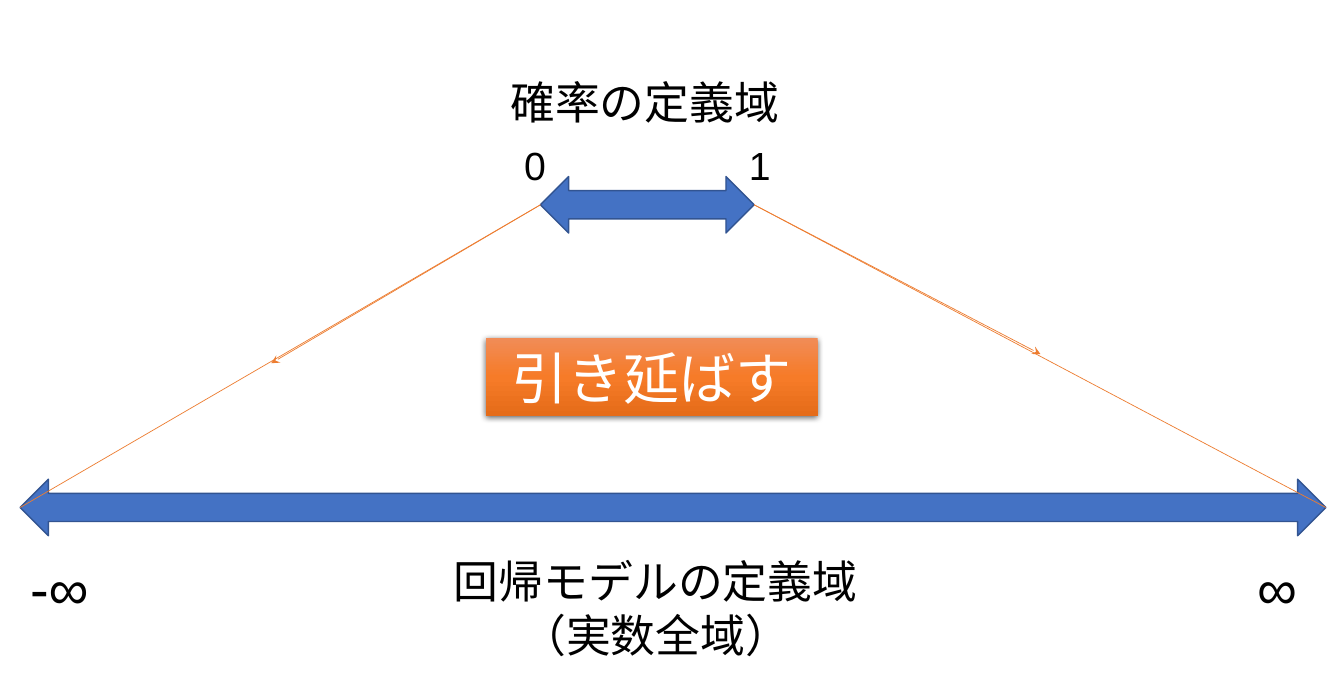
from lxml.etree import SubElement
from pptx import Presentation
from pptx.dml.color import RGBColor
from pptx.enum.shapes import MSO_CONNECTOR as CONN, MSO_SHAPE as SHAPE
from pptx.enum.text import MSO_ANCHOR as ANCHOR, PP_ALIGN as ALIGN
from pptx.oxml.ns import qn
from pptx.util import Inches, Pt

BLUE = RGBColor(0x44, 0x72, 0xC4)
NAVY = RGBColor(0x32, 0x54, 0x91)
ORANGE = RGBColor(0xED, 0x7D, 0x31)
BLACK = RGBColor(0, 0, 0)
WHITE = RGBColor(0xFF, 0xFF, 0xFF)
BUTTON_STOPS = [(0, "F18C57"), (50, "F67B28"), (100, "E56C19")]


class Diagram:
    font = "Arial"

    def __init__(self, slide):
        self.shapes = slide.shapes

    def set_text(self, sp, lines, size, color, align):
        tf = sp.text_frame
        tf.word_wrap = True
        tf.text = "\n".join(lines)
        for p in tf.paragraphs:
            p.alignment = align
            p.font.name = self.font
            p.font.size = Pt(size)
            p.font.color.rgb = color

    def label(self, box, *lines, size, align=ALIGN.LEFT):
        sp = self.shapes.add_textbox(*map(Inches, box))
        self.set_text(sp, lines, size, BLACK, align)

    def range_arrow(self, left, right, middle, height=0.56):
        sp = self.shapes.add_shape(
            SHAPE.LEFT_RIGHT_ARROW, Inches(left), Inches(middle - height / 2),
            Inches(right - left), Inches(height))
        sp.shadow.inherit = False
        sp.fill.solid()
        sp.fill.fore_color.rgb = BLUE
        sp.line.color.rgb = NAVY
        sp.line.width = Pt(1)

    def line(self, start, end, arrow=False):
        s = self.shapes.add_connector(
            CONN.STRAIGHT, *map(Inches, (*start, *end)))
        s.line.color.rgb = ORANGE
        s.line.width = Pt(0.5)
        spPr = s._element.spPr
        if arrow:
            SubElement(spPr.find(qn("a:ln")), qn("a:tailEnd"), type="stealth")
        SubElement(spPr, qn("a:effectLst"))

    def button(self, box, text, size):
        sp = self.shapes.add_shape(SHAPE.RECTANGLE, *map(Inches, box))
        sp.line.fill.background()
        sp.fill.gradient()
        sp.fill.gradient_angle = 270
        spPr = sp._element.spPr
        stops = spPr.find(".//" + qn("a:gsLst"))
        for gs in list(stops):
            stops.remove(gs)
        for pos, color in BUTTON_STOPS:
            gs = SubElement(stops, qn("a:gs"), pos=str(pos * 1000))
            SubElement(gs, qn("a:srgbClr"), val=color)
        # Soft shadow straight below
        sp.shadow.inherit = False
        shadow = SubElement(
            spPr.find(qn("a:effectLst")), qn("a:outerShdw"),
            blurRad=str(Pt(4.5)), dist=str(Pt(1.5)), dir="5400000",
            algn="ctr", rotWithShape="0")
        black = SubElement(shadow, qn("a:srgbClr"), val="000000")
        SubElement(black, qn("a:alpha"), val="63000")
        self.set_text(sp, [text], size, WHITE, ALIGN.CENTER)
        sp.text_frame.vertical_anchor = ANCHOR.MIDDLE


prs = Presentation()
prs.slide_width, prs.slide_height = Inches(13.33), Inches(6.69)
d = Diagram(prs.slides.add_slide(prs.slide_layouts[6]))

# The two ranges, and the lines joining their ends
zero, one, prob_y = 5.36, 7.48, 2.03
minus_inf, plus_inf, real_y = 0.2, 13.15, 5.03
d.range_arrow(zero, one, prob_y)
d.range_arrow(minus_inf, plus_inf, real_y)
d.line((zero, prob_y), (minus_inf, real_y))
d.line((one, prob_y), (plus_inf, real_y))

# End values
for left, text in ((5.1, "0"), (7.33, "1")):
    d.label((left, 1.35, 0.61, 0.57), text, size=28)
for left, width, text in ((0.2, 1.24, "-∞"), (12.37, 0.96, "∞")):
    d.label((left, 5.44, width, 0.77), text, size=40)

# Range names
d.label((4.49, 0.69, 3.81, 0.64), "確率の定義域", size=32, align=ALIGN.CENTER)
d.label((4.02, 5.44, 4.97, 1.18), "回帰モデルの定義域", "（実数全域）",
        size=32, align=ALIGN.CENTER)

# Stretching step and its direction
d.button((4.82, 3.35, 3.29, 0.77), "引き延ばす", size=40)
d.line((zero, prob_y), (2.69, 3.6), arrow=True)
d.line((one, prob_y), (10.32, 3.51), arrow=True)

prs.save("out.pptx")
